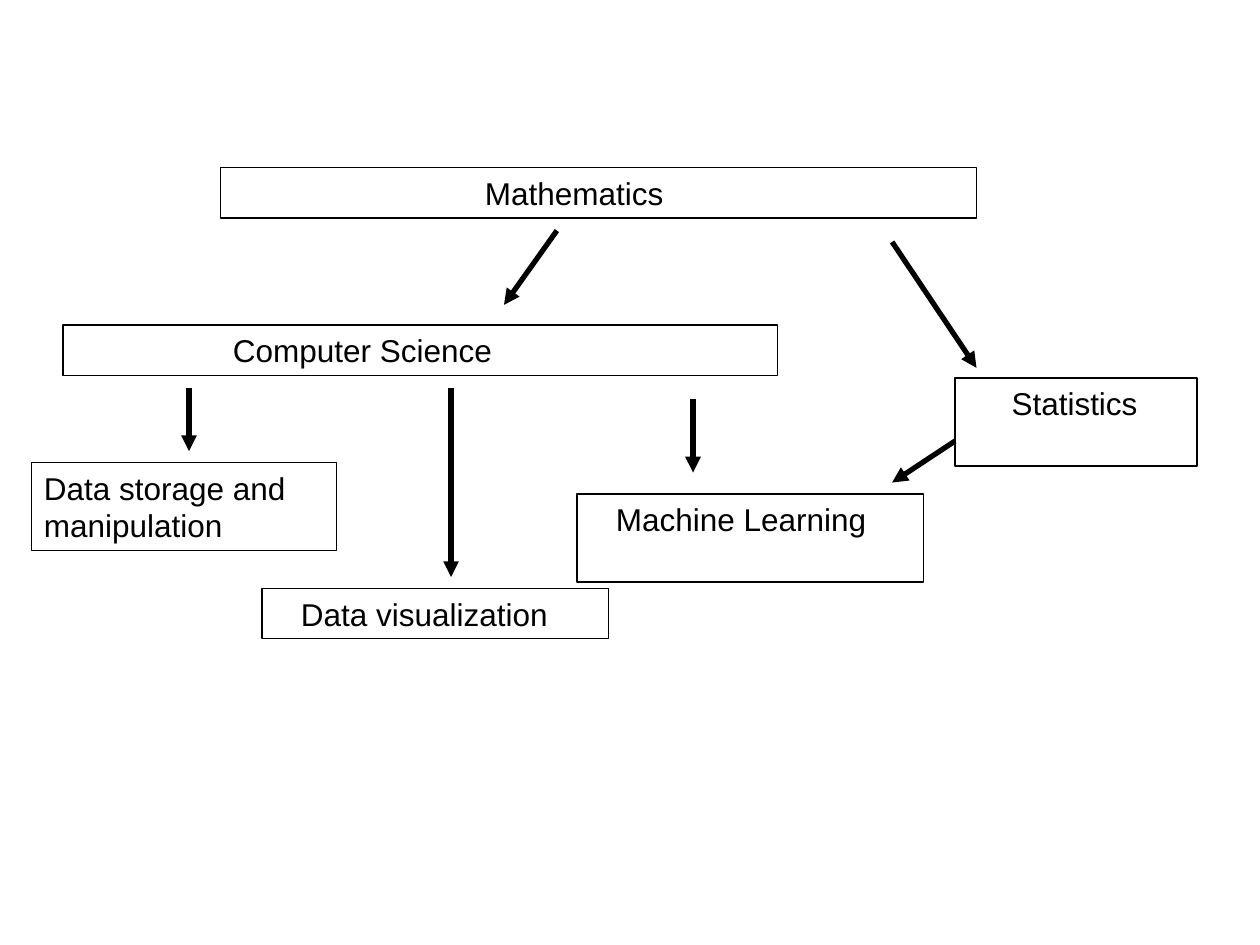
"""Build a slide that maps how mathematics leads to the data science fields."""
from typing import NamedTuple

from lxml import etree
from pptx import Presentation
from pptx.dml.color import RGBColor
from pptx.enum.shapes import MSO_CONNECTOR, MSO_SHAPE
from pptx.enum.text import MSO_ANCHOR, PP_ALIGN
from pptx.oxml.ns import qn
from pptx.slide import Slide
from pptx.util import Inches, Pt

RECTANGLE = MSO_SHAPE.RECTANGLE
STRAIGHT = MSO_CONNECTOR.STRAIGHT
TOP = MSO_ANCHOR.TOP
LEFT = PP_ALIGN.LEFT
BLACK = RGBColor(0x00, 0x00, 0x00)
FONT = "Arial"
ONE_LINE = 0.4
TWO_LINES = 0.7


class Field(NamedTuple):
    text: str
    left: float
    top: float
    width: float
    height: float
    indent: float = 0


class Arrow(NamedTuple):
    start_x: float
    start_y: float
    end_x: float
    end_y: float


FIELDS = [
    Field("Mathematics", 1.75, 1.33, 6, ONE_LINE, indent=2),
    Field("Computer Science", 0.5, 2.58, 5.67, ONE_LINE, indent=1.25),
    Field("Statistics", 7.58, 3, 1.92, TWO_LINES, indent=0.35),
    Field("Machine Learning", 4.58, 3.92, 2.75, TWO_LINES, indent=0.21),
    Field("Data storage and\nmanipulation", 0.25, 3.67, 2.42, TWO_LINES),
    Field("Data visualization", 2.08, 4.67, 2.75, ONE_LINE, indent=0.21),
]
ARROWS = [
    Arrow(4.42, 1.83, 4, 2.42),
    Arrow(7.08, 1.92, 7.75, 2.92),
    Arrow(7.58, 3.5, 7.08, 3.83),
    Arrow(1.5, 3.08, 1.5, 3.58),
    Arrow(5.5, 3.17, 5.5, 3.75),
    Arrow(3.58, 3.08, 3.58, 4.58),
]


def write_text(frame, text: str, *, size: float, indent: float) -> None:
    frame.word_wrap = True
    frame.vertical_anchor = TOP
    frame.text = text
    for para in frame.paragraphs:
        para.alignment = LEFT
        para.font.name = FONT
        para.font.size = Pt(size)
        para.font.color.rgb = BLACK
        para._p.get_or_add_pPr().set("marL", str(Inches(indent)))


def draw_field(page: Slide, field: Field) -> None:
    box = page.shapes.add_shape(
        RECTANGLE, Inches(field.left), Inches(field.top),
        Inches(field.width), Inches(field.height))
    box.shadow.inherit = False
    box.fill.background()
    box.line.color.rgb = BLACK
    box.line.width = Pt(0.74)
    write_text(box.text_frame, field.text, size=18, indent=field.indent)


def draw_arrow(page: Slide, arrow: Arrow) -> None:
    connector = page.shapes.add_connector(
        STRAIGHT, Inches(arrow.start_x), Inches(arrow.start_y),
        Inches(arrow.end_x), Inches(arrow.end_y))
    connector.line.color.rgb = BLACK
    connector.line.width = Pt(3)
    properties = connector._element.spPr
    etree.SubElement(properties.find(qn("a:ln")), qn("a:tailEnd"), type="triangle")
    etree.SubElement(properties, qn("a:effectLst"))


def main() -> None:
    deck = Presentation()
    deck.slide_width = Inches(10)
    deck.slide_height = Inches(7.5)
    page = deck.slides.add_slide(deck.slide_layouts[6])
    for field in FIELDS:
        draw_field(page, field)
    for arrow in ARROWS:
        draw_arrow(page, arrow)
    deck.save("out.pptx")


main()
